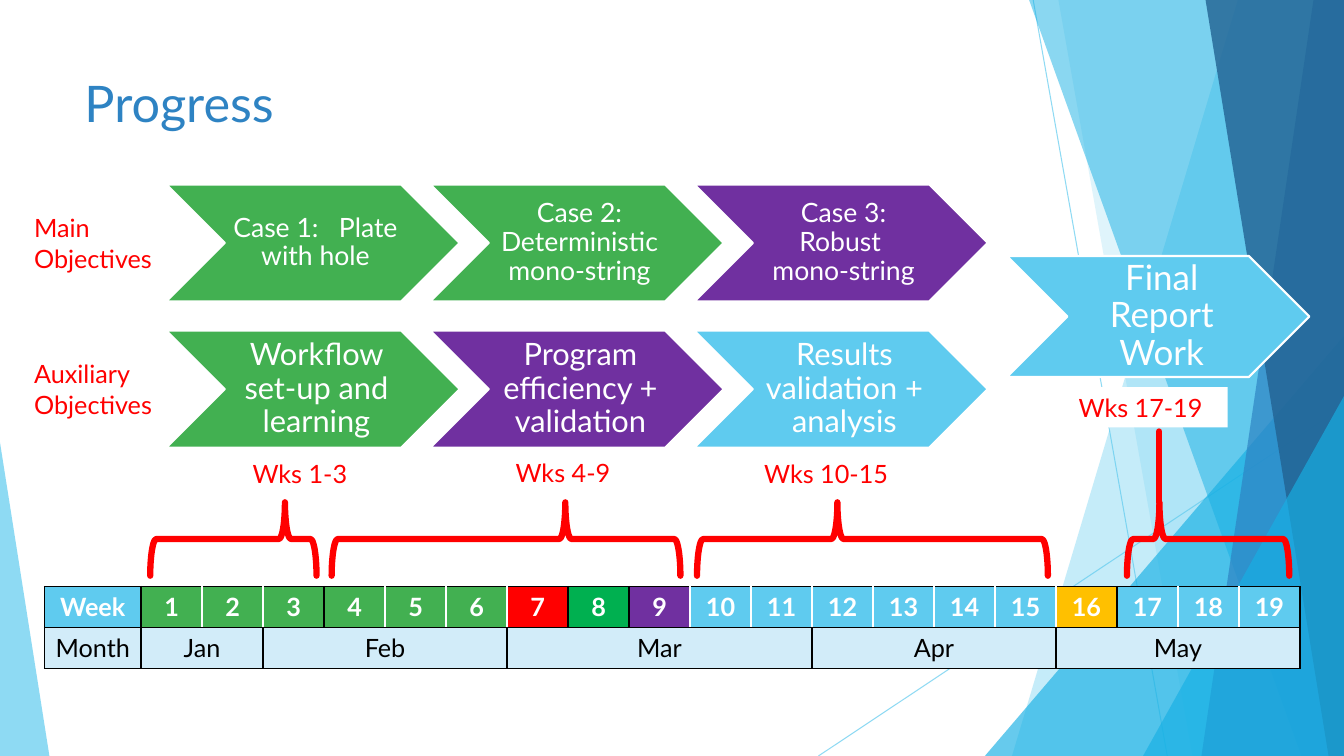
from lxml import etree
from pptx import Presentation
from pptx.dml.color import RGBColor
from pptx.enum.shapes import MSO_CONNECTOR, MSO_SHAPE
from pptx.enum.text import MSO_ANCHOR, PP_ALIGN
from pptx.oxml.ns import qn
from pptx.util import Pt

CHEVRON, BRACE = MSO_SHAPE.CHEVRON, MSO_SHAPE.LEFT_BRACE
RECTANGLE, TRIANGLE = MSO_SHAPE.RECTANGLE, MSO_SHAPE.ISOSCELES_TRIANGLE
STRAIGHT = MSO_CONNECTOR.STRAIGHT
LEFT, CENTER = PP_ALIGN.LEFT, PP_ALIGN.CENTER
TOP, MIDDLE = MSO_ANCHOR.TOP, MSO_ANCHOR.MIDDLE

FONT = "Lato"
COLORS = {
    "white": "FFFFFF", "black": "000000", "red": "FF0000", "sky": "5FCBEF",
    "azure": "17B0E4", "blue": "2E83C3", "navy": "226292", "green": "42B051",
    "emerald": "00B050", "purple": "7030A0", "amber": "FFC000", "pale": "D2ECF9",
}
SLIDE_W, SLIDE_H = 960, 540

# Backdrop: hairlines (from, to); facets (kind, geometry, colour, opacity %).
# A polygon lists its points, a triangle its left, top, width, height and apex.
HAIRLINES = [((738, 0), (833.8, 540)), ((960, 290.2), (584.6, 540))]
FACETS = [
    ("polygon", [(884.2, 0), (960, 0), (960, 540), (722.9, 540)], "sky", 36),
    ("polygon", [(756, 0), (960, 0), (960, 540), (851.8, 540)], "sky", 20),
    ("triangle", (703.5, 239.8, 256.5, 300.2, 1), "azure", 66),
    ("polygon", [(735.1, 0), (960, 0), (960, 540), (929.5, 540)], "azure", 50),
    ("polygon", [(938.2, 0), (960, 0), (960, 540), (858.2, 540)], "blue", 70),
    ("polygon", [(861.1, 0), (960, 0), (960, 540), (949, 540)], "navy", 80),
    ("triangle", (816.5, 283, 143.5, 257, 1), "azure", 66),
    ("triangle", (0, 316.1, 35.3, 223.9, 0), "sky", 70),
]

TITLE = "Progress"
# Objective rows: heading, heading width, top, text size, left inset, steps
OBJECTIVES = [
    ("Main Objectives", 124.6, 131.8, 19, 5.8, [
        ("Case 1:   Plate with hole", "green"),
        ("Case 2: Deterministic mono-string", "green"),
        ("Case 3: Robust  mono-string", "purple")]),
    ("Auxiliary Objectives", 101.5, 236.2, 22, 7.2, [
        ("Workflow set-up and learning", "green"),
        ("Program efficiency + validation", "purple"),
        ("Results validation + analysis", "sky")]),
]
FINAL_STEP = "Final Report Work"
# Phases: label, label left, label top, brace left, brace width,
# tip position as a share of the width from the right
PHASES = [
    ("Wks 1-3", 151.9, 324, 107.3, 118.8, 0.19),
    ("Wks 4-9", 339.8, 323.3, 236.9, 249.1, 0.33),
    ("Wks 10-15", 527.8, 324, 497.9, 250.6, 0.6),
    ("Wks 17-19", 752.4, 276.5, 805, 115.9, 0.8),
]
WEEK_COLORS = (["green"] * 6 + ["red", "emerald", "purple"] + ["sky"] * 6
               + ["amber"] + ["sky"] * 3)
DARK_EDGES = {0, 1, 4, 8, 9, 17, 20}  # column edges drawn black in the week row
MONTHS = [("Jan", 2), ("Feb", 4), ("Mar", 5), ("Apr", 4), ("May", 4)]

STEP_LEFT, STEP_PITCH, STEP_W, STEP_H = 118.8, 188.6, 209.5, 83.5
BRACE_TOP, BRACE_DEPTH = 358.8, 52.4
TABLE_LEFT, TABLE_TOP, ROW_H = 31.7, 419, 29.2
HEAD_W, WEEK_W = 69.1, 43.58


def rgb(name):
    return RGBColor.from_string(COLORS[name])


def paint(shape, fill=None, line=None, line_width=1, opacity=100):
    shape.shadow.inherit = False
    if fill:
        shape.fill.solid()
        shape.fill.fore_color.rgb = rgb(fill)
        fade(shape.fill._xPr, opacity)
    else:
        shape.fill.background()
    if line:
        shape.line.color.rgb = rgb(line)
        shape.line.width = Pt(line_width)
    else:
        shape.line.fill.background()


def fade(parent, opacity):
    """Set the opacity, in percent, of the solid fill directly under parent."""
    if opacity < 100:
        color = parent.find(qn("a:solidFill"))[0]
        etree.SubElement(color, qn("a:alpha"), val=str(opacity * 1000))


def round_caps(shape):
    shape.line._get_or_add_ln().set("cap", "rnd")


def add_preset(shapes, preset, left, top, width, height):
    return shapes.add_shape(preset, Pt(left), Pt(top), Pt(width), Pt(height))


def write(frame, text, size, color, align=LEFT, anchor=TOP, bold=False):
    frame.word_wrap = True
    frame.vertical_anchor = anchor
    frame.text = text
    paragraph = frame.paragraphs[0]
    paragraph.alignment = align
    font = paragraph.font
    font.name, font.size, font.bold = FONT, Pt(size), bold
    font.color.rgb = rgb(color)
    return paragraph


def add_line(shapes, start, end, color, width, opacity=100):
    line = shapes.add_connector(STRAIGHT, *map(Pt, start + end))
    line.line.color.rgb = rgb(color)
    line.line.width = Pt(width)
    fade(line.line._get_or_add_ln(), opacity)
    etree.SubElement(line._element.spPr, qn("a:effectLst"))
    return line


def add_backdrop(shapes):
    for start, end in HAIRLINES:
        add_line(shapes, start, end, "sky", 0.75, 70)
    for kind, geometry, color, opacity in FACETS:
        if kind == "polygon":
            points = [(Pt(x), Pt(y)) for x, y in geometry]
            builder = shapes.build_freeform(*points[0])
            builder.add_line_segments(points[1:])
            facet = builder.convert_to_shape()
        else:
            *box, apex = geometry
            facet = add_preset(shapes, TRIANGLE, *box)
            facet.adjustments[0] = apex
        paint(facet, color, opacity=opacity)


def add_step(shapes, text, color, box, size, left_inset, inset):
    step = add_preset(shapes, CHEVRON, *box)
    paint(step, color, "white", 1.5)
    frame = step.text_frame
    frame.margin_left = Pt(left_inset)
    frame.margin_right = frame.margin_top = frame.margin_bottom = Pt(inset)
    write(frame, text, size, "white", CENTER, MIDDLE).line_spacing = 0.9


def add_label(shapes, text, left, top, width, height, align):
    label = add_preset(shapes, RECTANGLE, left, top, width, height)
    paint(label, "white")
    write(label.text_frame, text, 18, "red", align)


def add_brace(shapes, left, width, tip):
    """Add a left brace turned a quarter so that its tip points up."""
    unturned_left = left + (width - BRACE_DEPTH) / 2
    unturned_top = BRACE_TOP + (BRACE_DEPTH - width) / 2
    brace = add_preset(shapes, BRACE, unturned_left, unturned_top, BRACE_DEPTH, width)
    brace.rotation = 90
    brace.adjustments[1] = tip
    paint(brace, line="red", line_width=4.5)
    round_caps(brace)


def fill_cell(cell, text, fill, color, bold, left_edge, right_edge):
    properties = cell._tc.get_or_add_tcPr()
    edges = {"a:lnL": left_edge, "a:lnR": right_edge, "a:lnT": "black", "a:lnB": "black"}
    for tag, edge in edges.items():
        border = etree.SubElement(properties, qn(tag), w=str(Pt(1)))
        solid = etree.SubElement(border, qn("a:solidFill"))
        etree.SubElement(solid, qn("a:srgbClr"), val=COLORS[edge])
    cell.fill.solid()
    cell.fill.fore_color.rgb = rgb(fill)
    if text:
        write(cell.text_frame, text, 18, color, CENTER, bold=bold)


def add_calendar(shapes):
    columns = len(WEEK_COLORS) + 1
    width = HEAD_W + WEEK_W * (columns - 1)
    table = shapes.add_table(2, columns, Pt(TABLE_LEFT), Pt(TABLE_TOP),
                             Pt(width), Pt(2 * ROW_H)).table
    table.first_row = table.horz_banding = False
    for row in table.rows:
        row.height = Pt(ROW_H)
    months = ["Month"]
    for month, span in MONTHS:
        first = len(months)
        months += [month] + [""] * (span - 1)
        table.cell(1, first).merge(table.cell(1, first + span - 1))
    for i, (fill, month) in enumerate(zip(["sky"] + WEEK_COLORS, months)):
        table.columns[i].width = Pt(WEEK_W if i else HEAD_W)
        left_edge, right_edge = ("black" if e in DARK_EDGES else "white" for e in (i, i + 1))
        fill_cell(table.cell(0, i), str(i) if i else "Week", fill, "white", True,
                  left_edge, right_edge)
        fill_cell(table.cell(1, i), month, "pale", "black", False, "black", "black")


def main():
    deck = Presentation()
    deck.slide_width, deck.slide_height = Pt(SLIDE_W), Pt(SLIDE_H)
    shapes = deck.slides.add_slide(deck.slide_layouts[6]).shapes
    add_backdrop(shapes)
    title = shapes.add_textbox(Pt(53.3), Pt(48.2), Pt(676.8), Pt(103.7))
    write(title.text_frame, TITLE, 36, "blue")
    for heading, heading_w, top, size, left_inset, steps in OBJECTIVES:
        add_label(shapes, heading, 17.3, top + 16.5, heading_w, 51.1, LEFT)
        for i, (text, color) in enumerate(steps):
            box = (STEP_LEFT + i * STEP_PITCH, top, STEP_W, STEP_H)
            add_step(shapes, text, color, box, size, left_inset, 2.2)
    add_step(shapes, FINAL_STEP, "sky", (719.3, 182.9, 216, 86.4), 25, 7.9, 2.9)
    add_calendar(shapes)
    for label, label_left, label_top, brace_left, brace_w, tip in PHASES:
        add_label(shapes, label, label_left, label_top, 124.6, 28.8, CENTER)
        add_brace(shapes, brace_left, brace_w, tip)
    round_caps(add_line(shapes, (828, BRACE_TOP), (828, 308.2), "red", 4.5))
    deck.save("out.pptx")


if __name__ == "__main__":
    main()
